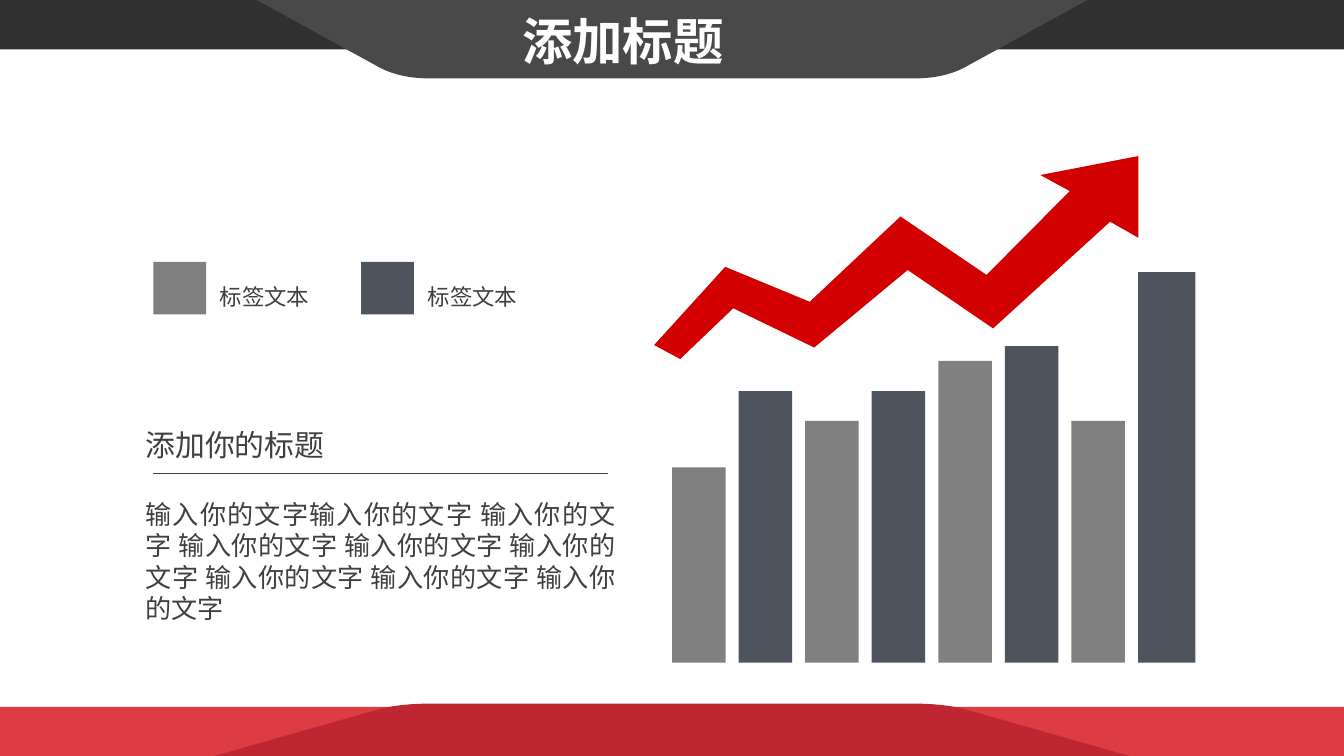
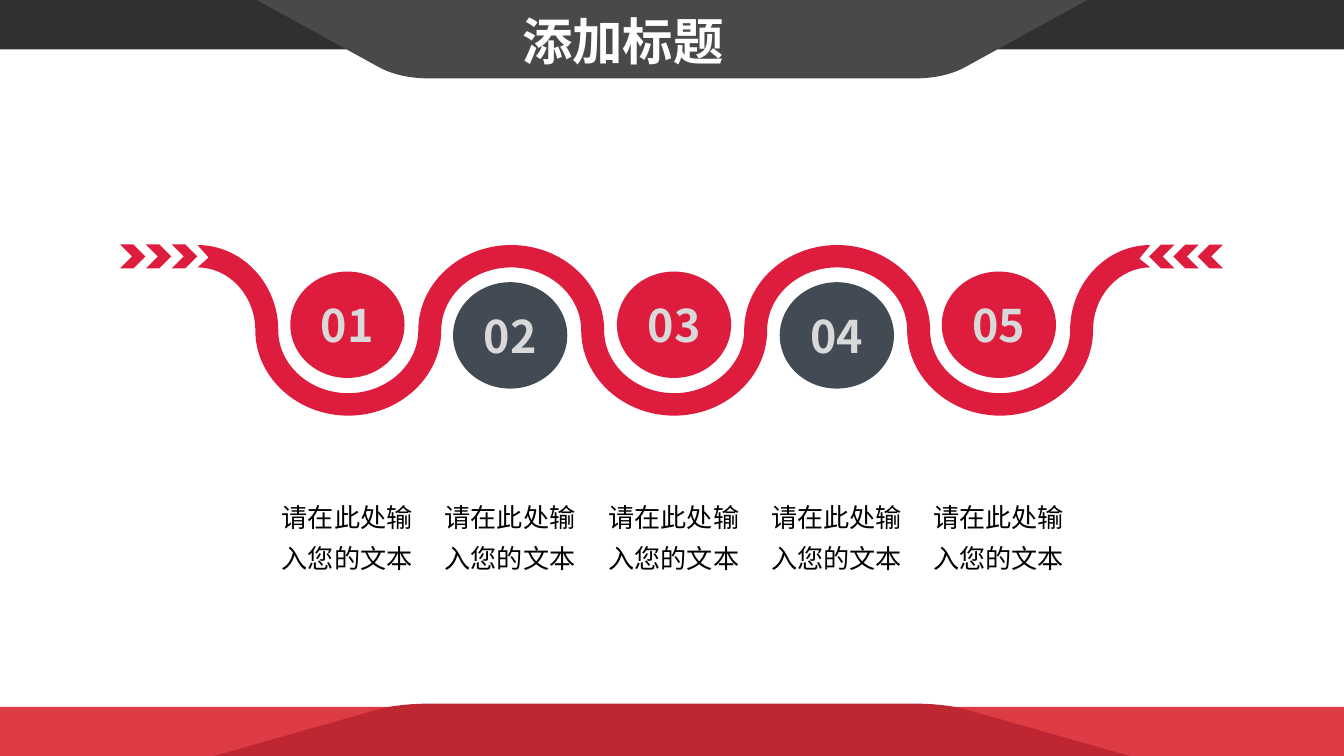
from math import cos, radians, sin

from lxml import etree
from pptx import Presentation
from pptx.dml.color import RGBColor
from pptx.enum.shapes import MSO_CONNECTOR, MSO_SHAPE
from pptx.enum.text import MSO_ANCHOR, MSO_AUTO_SIZE, PP_ALIGN
from pptx.oxml.ns import qn
from pptx.util import Pt

RECT, OVAL, CHEVRON = MSO_SHAPE.RECTANGLE, MSO_SHAPE.OVAL, MSO_SHAPE.CHEVRON
LEFT, CENTER, JUSTIFY = PP_ALIGN.LEFT, PP_ALIGN.CENTER, PP_ALIGN.JUSTIFY
TOP, MIDDLE = MSO_ANCHOR.TOP, MSO_ANCHOR.MIDDLE
GROW = MSO_AUTO_SIZE.SHAPE_TO_FIT_TEXT
STRAIGHT = MSO_CONNECTOR.STRAIGHT
WIDE, HIGH = 720, 405


class Theme:
    font = "Noto Sans CJK SC"
    white, black, ink, pale = "FFFFFF", "000000", "404040", "D9D9D9"
    dark, head = "303030", "4A4949"
    red, foot = "DD3C44", "BE2632"
    gray, slate, arrow = "808080", "222A35", "D20000"
    ribbon, steel = "DD1C3E", "424A53"
    alpha = {"222A35": 80}  # percent
    title, num, sub, body, label = 27, 24, 16, 14, 12


TITLE = "添加标题"

# Each tab: outer corner, then the four points of the rounded knee
TABS = [
    (Theme.foot, (115, 405), [(203, 380), (210.2, 378), (220.3, 377), (229, 377)]),
    (Theme.head, (137.5, 0), [(203, 36), (211, 40.3), (220.3, 42), (229.7, 42)]),
]
BANDS = [(Theme.red, 378.7, 26.3), (Theme.dark, 0, 26.5)]

BARS = [104.6, 145.4, 129.5, 145.4, 161.7, 169.5, 129.5, 209.2]
BAR_HUES = [Theme.gray, Theme.slate]
LEGEND = ["标签文本", "标签文本"]
SUBHEAD = "添加你的标题"
BODY = ("输入你的文字输入你的文字 输入你的文字 输入你的文字 输入你的文字 "
        "输入你的文字 输入你的文字 输入你的文字 输入你的文字")
TREND = [
    (350.4, 184.9), (388.5, 143), (433.8, 161.7), (482.4, 116), (528.5, 147.3),
    (573.1, 102.4), (557.3, 93.8), (609.8, 83.6), (609.8, 127.4), (594.7, 118.8),
    (532, 176), (486.3, 144.7), (436.2, 186.2), (392.8, 165.2), (364.4, 192.4),
]
TREND_MID, TREND_TURN = (480.6, 139.3), 5.7

STEP_TEXT = "请在此处输入您的文本"
STEPS = [("01", 186.2), ("02", 273.4), ("03", 361.2), ("04", 448.4), ("05", 535.2)]
WAVE_X, WAVE_GAP, WAVE_Y = 186.6, 87.3, 177
OUTER, INNER = (49.8, 45.7), (37.5, 33.7)
WAVE_ENDS = 105.8, 616.3
NOTCHES = (111.8, 138), (610.4, 138.6)
CHEVRONS = [(64.3, 13.9, 0), (615.6, 13, 180)]  # start, gap, turn


def paint(shape, color):
    shape.shadow.inherit = False
    shape.fill.solid()
    shape.fill.fore_color.rgb = RGBColor.from_string(color)
    shape.line.fill.background()
    if color in Theme.alpha:
        node = shape.element.spPr.find(".//" + qn("a:srgbClr"))
        etree.SubElement(node, qn("a:alpha")).set("val", str(Theme.alpha[color] * 1000))
    return shape


def place(slide, kind, x, y, w, h, color):
    return paint(slide.shapes.add_shape(kind, Pt(x), Pt(y), Pt(w), Pt(h)), color)


def outline(slide, start, parts, color):
    """Closed outline; a part is one point for a line, three for a cubic curve."""
    pen = slide.shapes.build_freeform(Pt(start[0]), Pt(start[1]))
    pen.add_line_segments([(Pt(x), Pt(y)) for part in parts for x, y in part], close=True)
    shape = pen.convert_to_shape()
    lines = iter(list(shape.element.spPr.iter(qn("a:lnTo"))))
    for part in parts:
        group = [next(lines) for _ in part]
        if len(part) == 3:
            curve = etree.Element(qn("a:cubicBezTo"))
            group[0].addprevious(curve)
            for line in group:
                curve.append(line[0])
                line.getparent().remove(line)
    return paint(shape, color)


def rule(slide, x1, x2, y, color):
    line = slide.shapes.add_connector(STRAIGHT, Pt(x1), Pt(y), Pt(x2), Pt(y))
    line.line.color.rgb = RGBColor.from_string(color)
    line.line.width = Pt(0.5)
    etree.SubElement(line.element.spPr, qn("a:effectLst"))


def write(shape, text, size, color, bold=False, align=LEFT, anchor=TOP, wrap=True):
    frame = shape.text_frame
    frame.text = text
    frame.word_wrap = wrap
    frame.vertical_anchor = anchor
    para = frame.paragraphs[0]
    para.alignment = align
    for run in para.runs:
        font = run.font
        font.size, font.bold, font.name = Pt(size), bold, Theme.font
        font.color.rgb = RGBColor.from_string(color)
        etree.SubElement(run._r.get_or_add_rPr(), qn("a:ea")).set("typeface", Theme.font)
    return para


def label(slide, x, y, w, h, text, size, color=Theme.ink, **style):
    box = slide.shapes.add_textbox(Pt(x), Pt(y), Pt(w), Pt(h))
    box.text_frame.auto_size = GROW
    return write(box, text, size, color, **style)


def base(deck):
    """New slide with bands, tabs and title."""
    slide = deck.slides.add_slide(deck.slide_layouts[5])
    for (hue, y, h), (tint, corner, knee) in zip(BANDS, TABS):
        place(slide, RECT, 0, y, WIDE, h, hue)
        back = [(WIDE - x, y) for x, y in reversed(knee)]
        end = (WIDE - corner[0], corner[1])
        parts = [knee[:1], knee[1:], back[:1], back[1:], [end]]
        outline(slide, corner, parts, tint)
    title = slide.shapes.title
    title.left, title.top, title.width, title.height = Pt(272.5), Pt(2), Pt(124), Pt(40)
    write(title, TITLE, Theme.title, Theme.white, bold=True, wrap=False)
    title.text_frame.auto_size = GROW
    title.element.getparent().append(title.element)  # bring to front
    return slide


def trend(slide):
    """Arrow laid level, then turned up as a shape."""
    mx, my = TREND_MID
    c, s = cos(radians(TREND_TURN)), sin(radians(TREND_TURN))
    level = [(mx + (x - mx) * c - (y - my) * s, my + (x - mx) * s + (y - my) * c)
             for x, y in TREND]
    arrow = outline(slide, level[0], [[p] for p in level[1:]], Theme.arrow)
    arrow.rotation = 360 - TREND_TURN


def growth(deck):
    slide = base(deck)
    trend(slide)
    rule(slide, 360, 640.5, 355, Theme.white)
    for i, tall in enumerate(BARS):
        wide = 30.7 if i == len(BARS) - 1 else 28.7
        place(slide, RECT, 360.1 + 35.65 * i, 355 - tall, wide, tall, BAR_HUES[i % 2])
    label(slide, 70.9, 263.5, 266.2, 75, BODY, Theme.body, align=JUSTIFY)
    label(slide, 70.9, 225, 182, 26.6, SUBHEAD, Theme.sub)
    for i, text in enumerate(LEGEND):
        x = 82.2 + 111.3 * i
        place(slide, RECT, x, 140.3, 28.2, 28.2, BAR_HUES[i])
        label(slide, x + 28.5, 148.4, 63.4, 21.6, text, Theme.label, wrap=False)
    rule(slide, 82.1, 325.9, 253.5, Theme.ink)


def wave(crest, dip):
    """Stations of one ribbon edge: peaks and midline crossings in turn."""
    low, high = WAVE_ENDS
    top = WAVE_Y - crest[1]
    points = [(low, top)]
    for i in range(len(STEPS) + 1):
        (rx, ry), side = (crest, -1) if i % 2 else (dip, 1)
        mid = WAVE_X + WAVE_GAP * i
        points += [(mid - rx, WAVE_Y), (mid, WAVE_Y + side * ry)]
    return points[:-1] + [(high, top)]


def arcs(points, k=0.55):
    """Quarter ellipses through the stations, level at every other one."""
    parts = []
    for i, ((x, y), (u, v)) in enumerate(zip(points, points[1:])):
        dx, dy = k * (u - x), k * (v - y)
        if i % 2:
            parts.append([(x, y + dy), (u - dx, v), (u, v)])
        else:
            parts.append([(x + dx, y), (u, v - dy), (u, v)])
    return parts


def flow(deck):
    slide = base(deck)
    for i, (num, mid) in enumerate(STEPS):
        y, hue = (151.2, Theme.steel) if i % 2 else (145.5, Theme.ribbon)
        disc = place(slide, OVAL, mid - 30.7, y, 61.2, 57, hue)
        frame = disc.text_frame
        frame.margin_left = frame.margin_right = Pt(5)
        frame.margin_top = frame.margin_bottom = Pt(2.9)
        write(disc, num, Theme.num, Theme.pale, bold=True, align=CENTER, anchor=MIDDLE)
    for start, gap, turn in CHEVRONS:
        for i in range(3):
            mark = place(slide, CHEVRON, start + gap * i, 131, 13.6, 12.8, Theme.ribbon)
            mark.rotation = turn
    upper, lower = wave(OUTER, INNER), wave(INNER, OUTER)[::-1]
    left, right = NOTCHES
    parts = arcs(upper) + [[right], lower[:1]] + arcs(lower) + [[left]]
    outline(slide, upper[0], parts, Theme.ribbon)
    for _, mid in STEPS:
        para = label(slide, mid - 42.3, 260, 85.7, 51, STEP_TEXT, Theme.body,
                     Theme.black, anchor=MIDDLE)
        para.line_spacing = 1.3


def main():
    deck = Presentation()
    deck.slide_width, deck.slide_height = Pt(WIDE), Pt(HIGH)
    growth(deck)
    flow(deck)
    deck.save("out.pptx")


if __name__ == "__main__":
    main()
